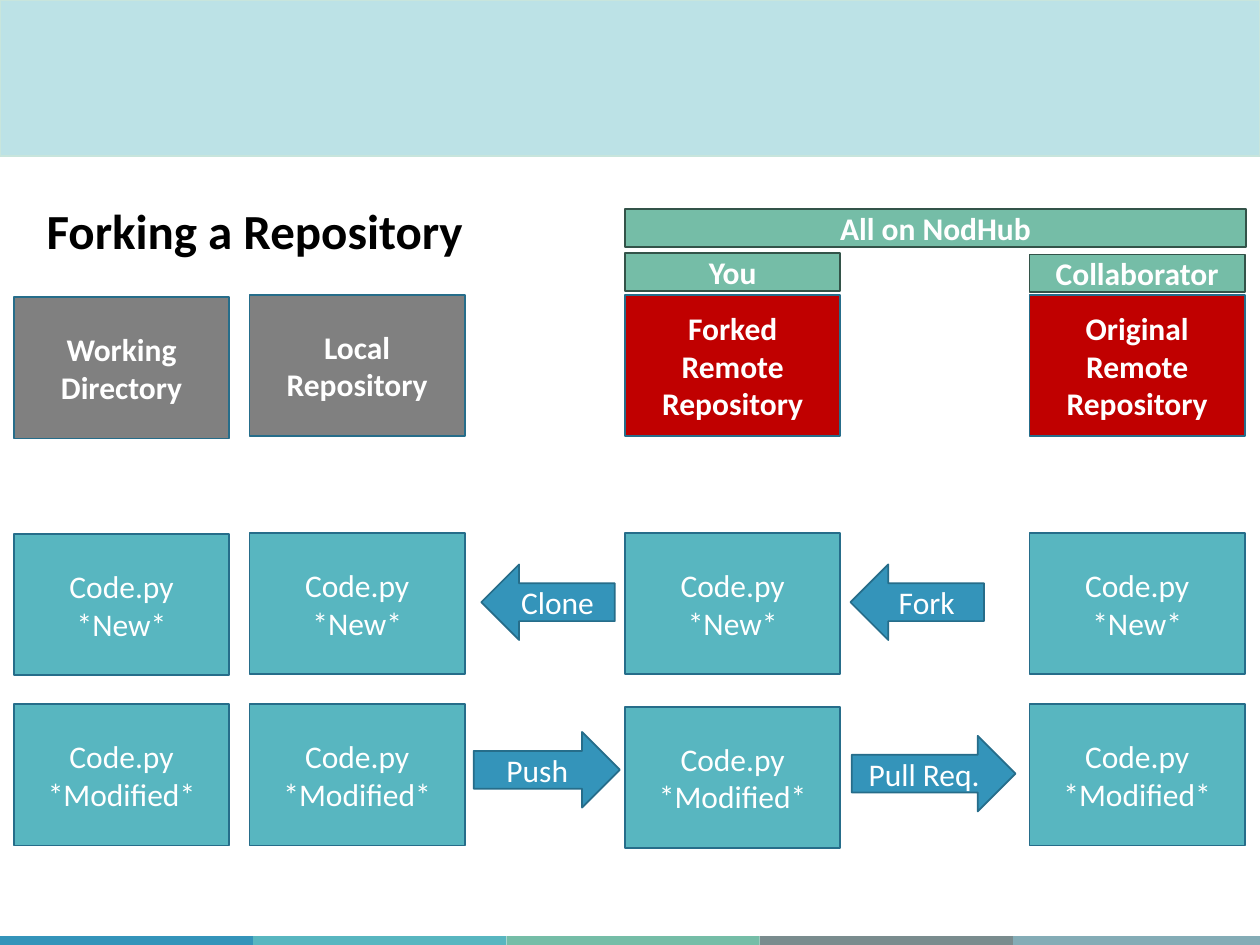
from pptx import Presentation
from pptx.dml.color import RGBColor
from pptx.enum.shapes import MSO_SHAPE
from pptx.enum.text import MSO_ANCHOR, MSO_AUTO_SIZE, PP_ALIGN
from pptx.util import Inches, Pt

TEAL, BLUE, GREEN = "58B6C0", "3494BA", "75BDA7"
GRAY, RED, EDGE, DARK = "808080", "C00000", "266D8A", "335349"
WORK, LOCAL, FORK, ORIGIN = 0.11, 1.98, 4.96, 8.17
WIDE, TALL = 1.71, 1.12
NEW, DONE = "Code.py\n*New*", "Code.py\n*Modified*"


def color(code):
    return RGBColor.from_string(code)


def style(par, size, code, bold, align):
    par.alignment = align
    par.font.name = "Calibri"
    par.font.size = Pt(size)
    par.font.bold = bold
    par.font.color.rgb = color(code)


def block(slide, area, fill, edge=None, text="", bold=False, kind=MSO_SHAPE.RECTANGLE):
    shape = slide.shapes.add_shape(kind, *map(Inches, area))
    shape.shadow.inherit = False
    shape.fill.solid()
    shape.fill.fore_color.rgb = color(fill)
    if edge:
        shape.line.color.rgb = color(edge)
        shape.line.width = Pt(1)
    else:
        shape.line.fill.background()
    if text:
        frame = shape.text_frame
        frame.text = text
        frame.word_wrap = True
        frame.vertical_anchor = MSO_ANCHOR.MIDDLE
        for par in frame.paragraphs:
            style(par, 18, "FFFFFF", bold, PP_ALIGN.CENTER)


def arrow(slide, left, top, width, text, kind):
    block(slide, (left, top, width, 0.6), BLUE, EDGE, text, kind=kind)


def title(slide, text):
    shape = slide.shapes.title
    shape.left, shape.top = Inches(0.27), Inches(1.59)
    shape.width, shape.height = Inches(4.5), Inches(0.6)
    frame = shape.text_frame
    frame.text = text
    frame.word_wrap = True
    frame.auto_size = MSO_AUTO_SIZE.NONE
    frame.vertical_anchor = MSO_ANCHOR.TOP
    par = frame.paragraphs[0]
    par.line_spacing = 0.9
    style(par, 28, "000000", True, PP_ALIGN.LEFT)


def frame_bars(slide):
    block(slide, (0, 0, 10, 1.24), "BCE2E6", "C8E5DC")
    for i, fill in enumerate((BLUE, TEAL, GREEN, "7A8C8E", "84ACB6")):
        block(slide, (i * 2.01, 7.43, 2.01, 0.1), fill)


def main():
    deck = Presentation()
    deck.slide_width, deck.slide_height = Inches(10), Inches(7.5)
    slide = deck.slides.add_slide(deck.slide_layouts[5])
    frame_bars(slide)
    title(slide, "Forking a Repository")

    for left, top, width, text in (
        (FORK, 1.66, 4.93, "All on NodHub"),
        (FORK, 2.01, WIDE, "You"),
        (ORIGIN, 2.02, WIDE, "Collaborator"),
    ):
        block(slide, (left, top, width, 0.3), GREEN, DARK, text, True)

    for left, fill, text, tops in (
        (WORK, GRAY, "Working\nDirectory", (2.36, 4.24, 5.59)),
        (LOCAL, GRAY, "Local Repository", (2.34, 4.23, 5.59)),
        (FORK, RED, "Forked Remote Repository", (2.34, 4.23, 5.61)),
        (ORIGIN, RED, "Original Remote Repository", (2.34, 4.23, 5.59)),
    ):
        cells = ((fill, text, True), (TEAL, NEW, False), (TEAL, DONE, False))
        for top, (shade, label, bold) in zip(tops, cells):
            block(slide, (left, top, WIDE, TALL), shade, EDGE, label, bold)

    arrow(slide, 3.82, 4.48, 1.06, "Clone", MSO_SHAPE.LEFT_ARROW)
    arrow(slide, 6.75, 4.48, 1.06, "Fork", MSO_SHAPE.LEFT_ARROW)
    arrow(slide, 3.76, 5.81, 1.16, "Push", MSO_SHAPE.RIGHT_ARROW)
    arrow(slide, 6.76, 5.84, 1.3, "Pull Req.", MSO_SHAPE.RIGHT_ARROW)

    deck.save("out.pptx")


if __name__ == "__main__":
    main()
